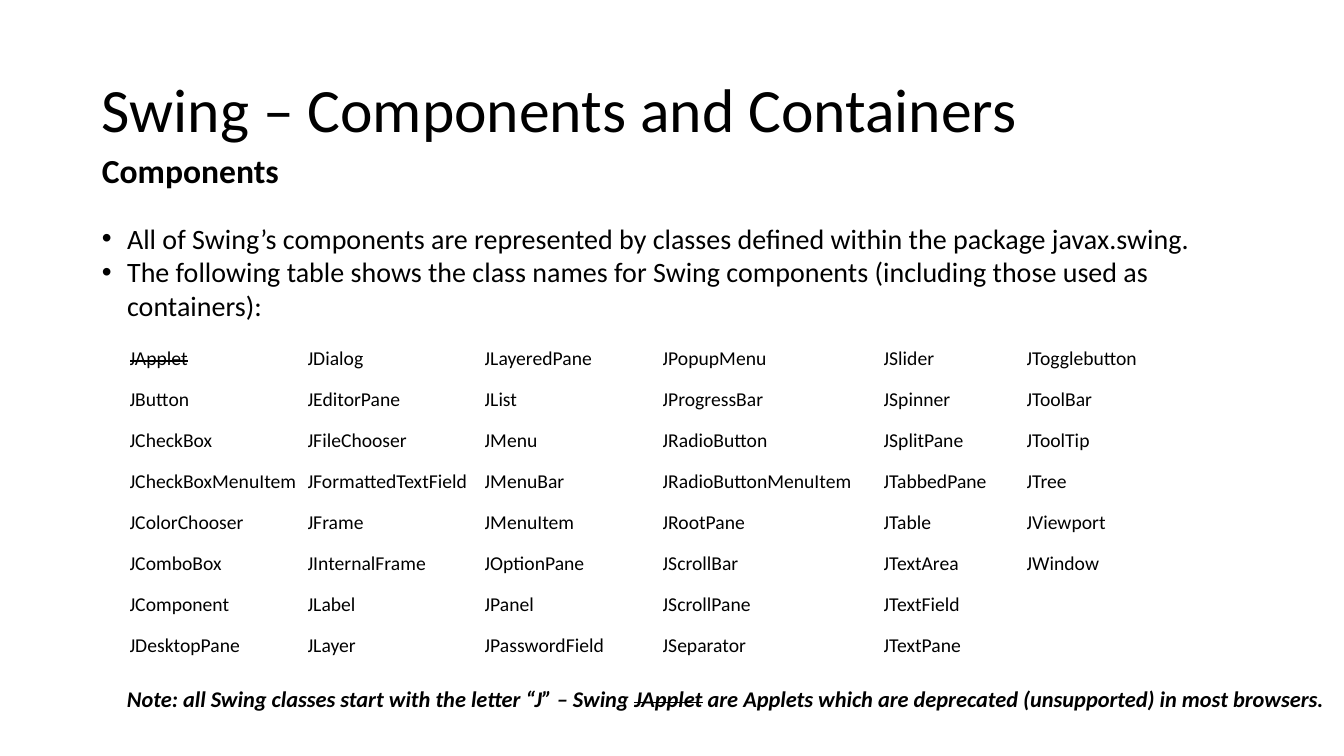
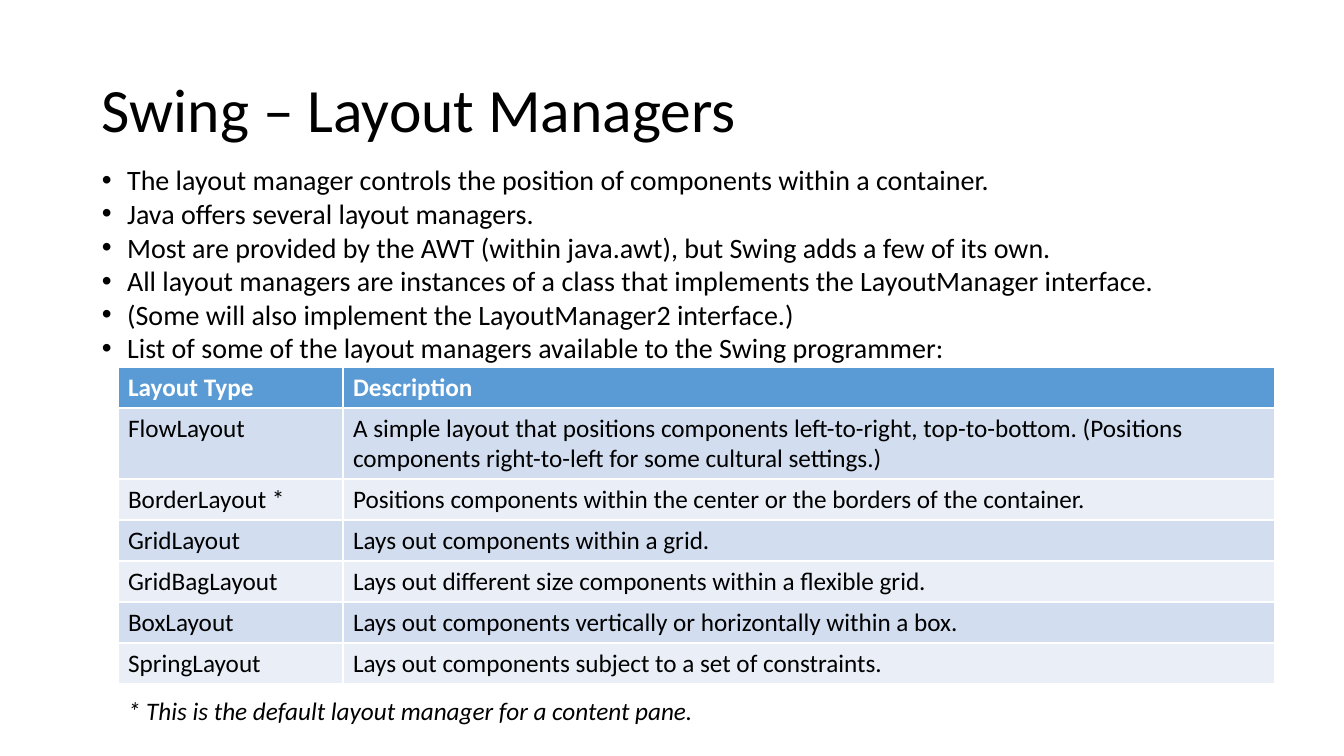
from lxml import etree
from pptx import Presentation
from pptx import util as u
from pptx.dml.color import RGBColor
from pptx.enum import text
from pptx.oxml import ns

COMPONENTS = {
    "title": "Swing – Components and Containers",
    "heading": "Components",
    "bullets": [
        "All of Swing’s components are represented by classes defined within the package javax.swing.",
        "The following table shows the class names for Swing components "
        "(including those used as containers):",
    ],
    "rows": [
        ("JApplet", "JDialog", "JLayeredPane", "JPopupMenu", "JSlider", "JTogglebutton"),
        ("JButton", "JEditorPane", "JList", "JProgressBar", "JSpinner", "JToolBar"),
        ("JCheckBox", "JFileChooser", "JMenu", "JRadioButton", "JSplitPane", "JToolTip"),
        ("JCheckBoxMenuItem", "JFormattedTextField", "JMenuBar", "JRadioButtonMenuItem",
         "JTabbedPane", "JTree"),
        ("JColorChooser", "JFrame", "JMenuItem", "JRootPane", "JTable", "JViewport"),
        ("JComboBox", "JInternalFrame", "JOptionPane", "JScrollBar", "JTextArea", "JWindow"),
        ("JComponent", "JLabel", "JPanel", "JScrollPane", "JTextField"),
        ("JDesktopPane", "JLayer", "JPasswordField", "JSeparator", "JTextPane"),
    ],
    "note": "Note: all Swing classes start with the letter “J” – Swing JApplet are Applets "
            "which are deprecated (unsupported) in most browsers.",
}
LAYOUTS = {
    "title": "Swing – Layout Managers",
    "bullets": [
        "The layout manager controls the position of components within a container.",
        "Java offers several layout managers.",
        "Most are provided by the AWT (within java.awt), but Swing adds a few of its own.",
        "All layout managers are instances of a class that implements the LayoutManager interface.",
        "(Some will also implement the LayoutManager2 interface.)",
        "List of some of the layout managers available to the Swing programmer:",
    ],
    "rows": [
        ("Layout Type", "Description"),
        ("FlowLayout", "A simple layout that positions components left-to-right, top-to-bottom. "
                       "(Positions components right-to-left for some cultural settings.)"),
        ("BorderLayout *", "Positions components within the center or the borders of the container."),
        ("GridLayout", "Lays out components within a grid."),
        ("GridBagLayout", "Lays out different size components within a flexible grid."),
        ("BoxLayout", "Lays out components vertically or horizontally within a box."),
        ("SpringLayout", "Lays out components subject to a set of constraints."),
    ],
    "note": "* This is the default layout manager for a content pane.",
}
DEPRECATED = "JApplet"

FONT = "Calibri"
BLACK = RGBColor(0x00, 0x00, 0x00)
WHITE = RGBColor(0xFF, 0xFF, 0xFF)
HEADER_BLUE = RGBColor(0x5B, 0x9B, 0xD5)
BANDS = (RGBColor(0xEA, 0xEF, 0xF7), RGBColor(0xD2, 0xDE, 0xEF))

SLIDE_SIZE = (1344, 756)
TITLE_BOX = (92, 40, 1159, 146)
ROW_HEIGHT = 41
TALL_ROW_HEIGHT = 71


def px(length):
    """Turn pixels into EMU."""
    return u.Emu(round(length * u.Inches(1) / 100.8))


def write(paragraph, words, size, color=BLACK, bold=False, italic=False):
    """Fill a paragraph, striking through the deprecated class name."""
    for piece in filter(None, words.partition(DEPRECATED)):
        run = paragraph.add_run()
        run.text = piece
        font = run.font
        font.name, font.size, font.color.rgb = FONT, u.Pt(size), color
        font.bold, font.italic = bold, italic
        if piece == DEPRECATED:
            run._r.get_or_add_rPr().set("strike", "sngStrike")


def add_bullet(paragraph):
    """Give a paragraph a round bullet and a hanging indent."""
    properties = paragraph._p.get_or_add_pPr()
    properties.set("marL", str(u.Inches(0.25)))
    properties.set("indent", str(-u.Inches(0.25)))
    etree.SubElement(properties, ns.qn("a:buFont")).set("typeface", "Arial")
    etree.SubElement(properties, ns.qn("a:buChar")).set("char", "•")


def add_box(slide, box):
    """Add a wrapping text box and return its text frame."""
    frame = slide.shapes.add_textbox(*map(px, box)).text_frame
    frame.word_wrap = True
    return frame


def add_titled_slide(presentation, title):
    """Add a blank slide with the shared title style."""
    slide = presentation.slides.add_slide(presentation.slide_layouts[6])
    frame = add_box(slide, TITLE_BOX)
    frame.vertical_anchor = text.MSO_ANCHOR.MIDDLE
    paragraph = frame.paragraphs[0]
    paragraph.line_spacing = 0.9
    write(paragraph, title, 44)
    return slide


def add_body(slide, box, bullets, heading=None):
    """Add an optional bold heading followed by bullets."""
    frame = add_box(slide, box)
    paragraph = frame.paragraphs[0]
    if heading:
        write(paragraph, heading, 24, bold=True)
        paragraph.space_after = u.Pt(22)
        paragraph = frame.add_paragraph()
    for index, bullet in enumerate(bullets):
        if index:
            paragraph = frame.add_paragraph()
        add_bullet(paragraph)
        write(paragraph, bullet, 20)


def add_note(slide, box, words, size, bold=False):
    """Add a one-line italic note."""
    frame = add_box(slide, box)
    frame.word_wrap = False
    frame.auto_size = text.MSO_AUTO_SIZE.SHAPE_TO_FIT_TEXT
    write(frame.paragraphs[0], words, size, bold=bold, italic=True)


def add_grid(slide, left, top, widths, heights, rows):
    """Add an empty table sized by its columns and rows."""
    frame = slide.shapes.add_table(len(rows), len(widths), px(left), px(top),
                                   px(sum(widths)), px(sum(heights)))
    table = frame.table
    for column, width in zip(table.columns, widths):
        column.width = px(width)
    for row, height in zip(table.rows, heights):
        row.height = px(height)
    return table


def fill_class_table(table, rows):
    """Write class names in plain cells; short rows merge their last two."""
    for r, names in enumerate(rows):
        last = len(table.columns) - 1
        if len(names) == last:
            table.cell(r, last - 1).merge(table.cell(r, last))
        for c in range(last + 1):
            cell = table.cell(r, c)
            cell.fill.background()
            cell.margin_left = cell.margin_right = cell.margin_top = cell.margin_bottom = 0
            cell.vertical_anchor = text.MSO_ANCHOR.MIDDLE
            if c < len(names):
                write(cell.text_frame.paragraphs[0], names[c], 14)


def fill_layout_table(table, rows):
    """Write a header row and banded rows."""
    for r, words in enumerate(rows):
        header = r == 0
        for c, entry in enumerate(words):
            cell = table.cell(r, c)
            cell.fill.solid()
            cell.fill.fore_color.rgb = HEADER_BLUE if header else BANDS[r % 2]
            write(cell.text_frame.paragraphs[0], entry, 18,
                  WHITE if header else BLACK, bold=header)


def build_components(presentation):
    """Build the slide that lists the Swing classes."""
    slide = add_titled_slide(presentation, COMPONENTS["title"])
    add_body(slide, (92, 145, 1159, 196), COMPONENTS["bullets"], COMPONENTS["heading"])
    rows = COMPONENTS["rows"]
    table = add_grid(slide, 129, 338, (178, 177, 178, 221, 143, 169),
                     [ROW_HEIGHT] * len(rows), rows)
    fill_class_table(table, rows)
    add_note(slide, (117, 680, 1227, 37), COMPONENTS["note"], 16, bold=True)


def build_layouts(presentation):
    """Build the slide that describes the layout managers."""
    slide = add_titled_slide(presentation, LAYOUTS["title"])
    add_body(slide, (92, 158, 1179, 497), LAYOUTS["bullets"])
    rows = LAYOUTS["rows"]
    heights = [ROW_HEIGHT] * len(rows)
    heights[1] = TALL_ROW_HEIGHT
    table = add_grid(slide, 118, 367, (225, 932), heights, rows)
    fill_layout_table(table, rows)
    add_note(slide, (118, 690, 592, 40), LAYOUTS["note"], 18)


presentation = Presentation()
presentation.slide_width, presentation.slide_height = map(px, SLIDE_SIZE)
build_components(presentation)
build_layouts(presentation)
presentation.save("out.pptx")
